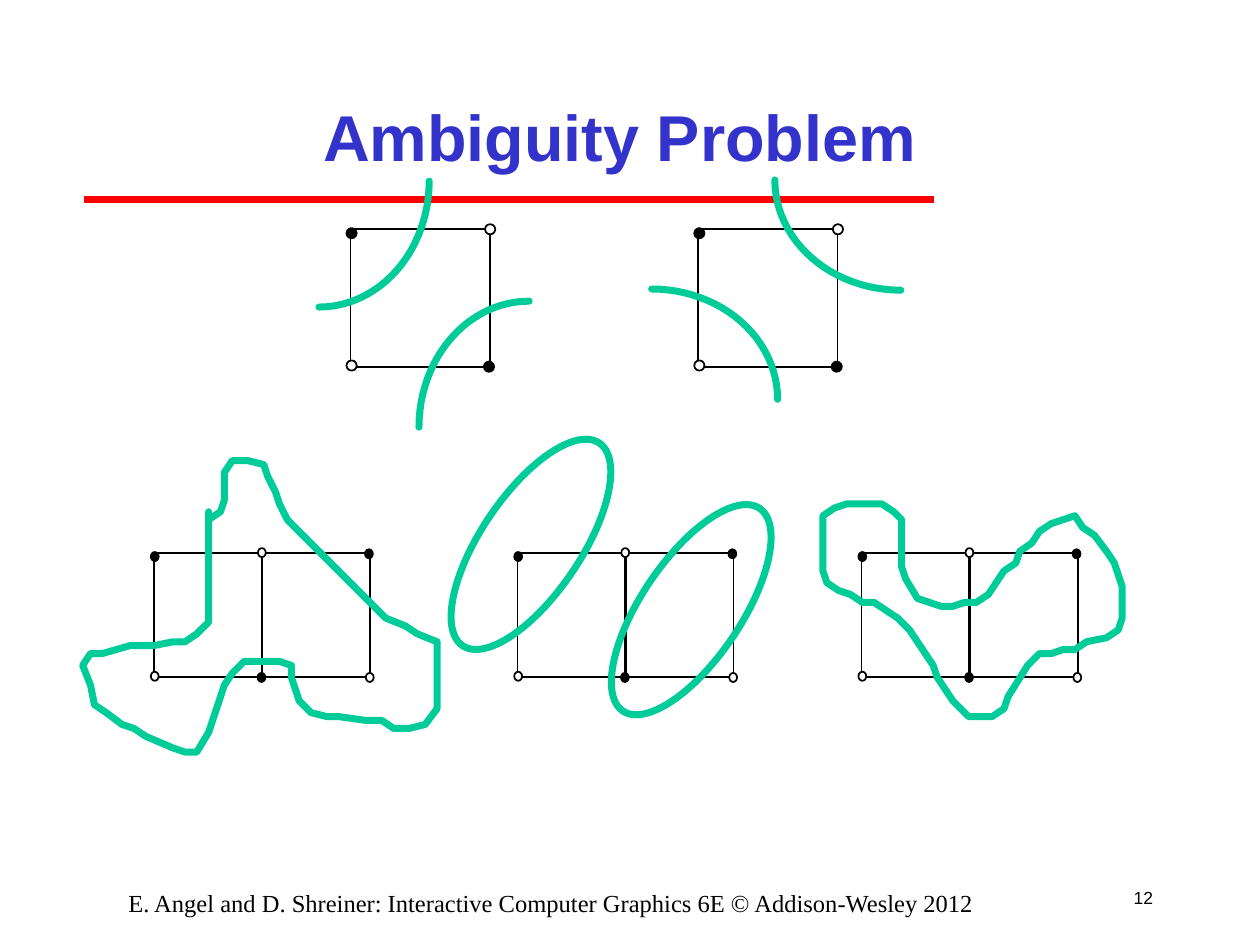
from math import cos, pi, sin

from pptx import Presentation
from pptx.dml.color import RGBColor
from pptx.enum.shapes import MSO_CONNECTOR, MSO_SHAPE
from pptx.enum.text import MSO_ANCHOR, PP_ALIGN
from pptx.util import Inches, Pt
from lxml.etree import SubElement
from pptx.oxml.ns import qn

BLACK = RGBColor(0x00, 0x00, 0x00)
WHITE = RGBColor(0xFF, 0xFF, 0xFF)
RED = RGBColor(0xFF, 0x00, 0x00)
BLUE = RGBColor(0x33, 0x33, 0xCC)
GREEN = RGBColor(0x00, 0xCC, 0x99)

presentation = Presentation()
presentation.slide_width = Inches(10)
presentation.slide_height = Inches(7.5)
slide = presentation.slides.add_slide(presentation.slide_layouts[6])
shapes = slide.shapes

# All lengths are cells of a grid with 320 columns and 240 rows
CELL = presentation.slide_width // 320


def add_outlined(kind, box, fill=None, color=BLACK, weight=1):
    shape = shapes.add_shape(kind, *(round(value * CELL) for value in box))
    shape.shadow.inherit = False
    if fill is None:
        shape.fill.background()
    else:
        shape.fill.solid()
        shape.fill.fore_color.rgb = fill
    shape.line.color.rgb = color
    shape.line.width = Pt(weight)
    return shape


def add_curve(points, closed=False):
    points = [(x * 100, y * 100) for x, y in points]
    builder = shapes.build_freeform(*points[0], scale=CELL / 100)
    builder.add_line_segments(points[1:], close=closed)
    curve = builder.convert_to_shape()
    curve.shadow.inherit = False
    curve.fill.background()
    curve.line.color.rgb = GREEN
    curve.line.width = Pt(4)
    outline = curve.line._get_or_add_ln()
    outline.set("cap", "rnd")
    SubElement(outline, qn("a:round"))


# Rule under the title
rule = shapes.add_connector(
    MSO_CONNECTOR.STRAIGHT,
    *(round(value * CELL) for value in (21.33, 50.67, 237.33, 50.67)))
rule.line.color.rgb = RED
rule.line.width = Pt(4)
SubElement(rule._element.spPr, qn("a:effectLst"))

# Page number, footer and title
CENTER, RIGHT = PP_ALIGN.CENTER, PP_ALIGN.RIGHT
TEXTS = [
    ("12", (282.67, 221.33, 13.33, 13.33), (0.1, 0.05), MSO_ANCHOR.MIDDLE,
     RIGHT, "Arial", 10, BLACK, False, False),
    ("E. Angel and D. Shreiner: Interactive Computer Graphics 6E © Addison-Wesley 2012",
     (16, 224, 248, 10.67), (0.1, 0.05), MSO_ANCHOR.TOP,
     CENTER, "Times New Roman", 14, BLACK, False, True),
    ("Ambiguity Problem", (48, 8, 218.67, 37.33), (0.07, 0.03), MSO_ANCHOR.BOTTOM,
     CENTER, "Arial", 37, BLUE, True, True),
]
for text, box, inset, anchor, align, font_name, size, color, bold, wrap in TEXTS:
    text_box = shapes.add_textbox(*(round(value * CELL) for value in box))
    text_frame = text_box.text_frame
    text_frame.text = text
    text_frame.word_wrap = wrap
    text_frame.vertical_anchor = anchor
    text_frame.margin_left = text_frame.margin_right = Inches(inset[0])
    text_frame.margin_top = text_frame.margin_bottom = Inches(inset[1])
    paragraph = text_frame.paragraphs[0]
    paragraph.alignment = align
    font = paragraph.runs[0].font
    font.name, font.size, font.bold = font_name, Pt(size), bold
    font.color.rgb = color

# Single cells with their corner vertices
SINGLE_TOP = 58.24
SINGLE_VERTICES = [(-1, -0.3, BLACK), (-1, 33.3, WHITE),
                   (34.2, -1.3, WHITE), (33.9, 33.6, BLACK)]
for left in (89, 177.33):
    add_outlined(MSO_SHAPE.RECTANGLE, (left, SINGLE_TOP, 35.4, 34.9))
    for x, y, fill in SINGLE_VERTICES:
        add_outlined(MSO_SHAPE.OVAL, (left + x, SINGLE_TOP + y, 2.6, 2.6), fill)

# Pairs of neighbouring cells with their vertices
PAIR_TOP = 140.5
PAIR_VERTICES = [(-0.8, -0.3, BLACK), (53.8, 30.4, WHITE), (-0.8, 30.1, WHITE),
                 (26.4, -1.3, WHITE), (53.6, -1, BLACK), (26.3, 30.4, BLACK)]
for left in (39.1, 131.4, 218.8):
    for column in range(2):
        add_outlined(MSO_SHAPE.RECTANGLE,
                     (left + column * 27.6, PAIR_TOP, 27.3, 31.4))
    for x, y, fill in PAIR_VERTICES:
        add_outlined(MSO_SHAPE.OVAL, (left + x, PAIR_TOP + y, 2, 2.3), fill)

# Quarter arcs through the single cells: centre, radii, first quadrant
ARC_STEPS = 24
ARCS = [(81, 46, 28, 32, 0), (134.4, 108.5, 28, 32, 2),
        (165.5, 101.4, 32, 28, 3), (228.8, 45.7, 32, 28, 1)]
for center_x, center_y, radius_x, radius_y, quadrant in ARCS:
    angles = [(quadrant + step / ARC_STEPS) * pi / 2 for step in range(ARC_STEPS + 1)]
    add_curve([(center_x + radius_x * cos(angle), center_y + radius_y * sin(angle))
               for angle in angles])

# Tilted contours over the middle pair
for left, top in ((162.9, 123.8), (122.2, 107.2)):
    contour = add_outlined(MSO_SHAPE.OVAL, (left, top, 25.3, 62.1), None, GREEN, 4)
    contour.rotation = 34

# Joined contours over the left and right pairs
LEFT_CONTOUR = [
    (53, 130), (53, 158), (50, 161), (47, 163), (44, 163), (39, 164), (33, 164),
    (26, 166), (23, 166), (21, 169), (23, 174), (24, 179), (27, 181), (31, 184),
    (34, 185), (37, 187), (44, 190), (47, 191), (50, 191), (53, 186), (57, 174),
    (59, 171), (62, 168), (71, 168), (74, 169), (74, 172), (76, 178), (79, 181),
    (83, 182), (86, 182), (93, 183), (97, 183), (100, 185), (104, 185), (108, 184),
    (111, 180), (111, 163), (106, 161), (103, 159), (98, 157), (73, 132), (71, 128),
    (70, 125), (68, 121), (67, 118), (63, 117), (59, 117), (57, 120), (57, 127),
    (56, 130), (53, 132)]
RIGHT_CONTOUR = [
    (229, 132), (229, 144), (230, 147), (233, 152), (239, 154), (242, 154),
    (245, 153), (248, 153), (251, 151), (255, 145), (258, 143), (259, 140),
    (262, 138), (264, 135), (267, 133), (273, 131), (275, 134), (278, 136),
    (281, 140), (283, 143), (285, 149), (285, 157), (284, 160), (281, 162),
    (276, 163), (273, 165), (270, 165), (267, 166), (264, 166), (261, 169),
    (256, 177), (255, 180), (252, 182), (246, 182), (242, 178), (238, 172),
    (237, 169), (231, 160), (228, 157), (225, 155), (222, 153), (219, 153),
    (216, 151), (213, 150), (210, 148), (209, 145), (209, 131), (212, 129),
    (215, 128), (224, 128), (227, 130)]
for points in (LEFT_CONTOUR, RIGHT_CONTOUR):
    add_curve(points, closed=True)

presentation.save("out.pptx")
